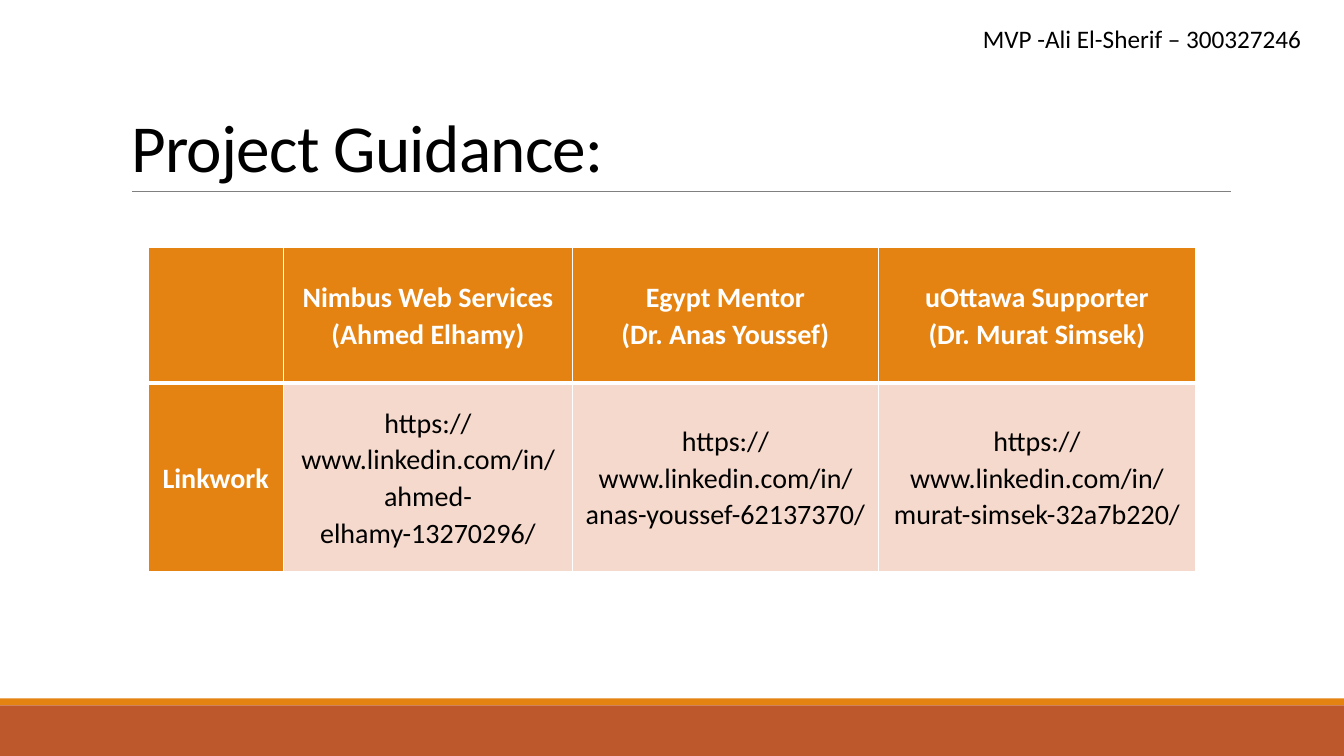
from lxml import etree
from pptx import Presentation, util as u
from pptx.dml.color import RGBColor
from pptx.enum import shapes, text
from pptx.oxml import ns

ORANGE = RGBColor(0xE4, 0x83, 0x12)
RUST = RGBColor(0xBD, 0x58, 0x2C)
BLUSH = RGBColor(0xF5, 0xD9, 0xCC)
GREY = RGBColor(0x80, 0x80, 0x80)
WHITE = RGBColor(0xFF, 0xFF, 0xFF)
BLACK = RGBColor(0, 0, 0)
FONT = "Calibri"

SLIDE_W, SLIDE_H = 13.33, 7.5
COLUMN_WIDTHS = [1.34, 2.87, 3.03, 3.15]
ROW_HEIGHTS = [1.35, 1.87]
GUIDES = [
    ["", "Nimbus Web Services\n(Ahmed Elhamy)", "Egypt Mentor\n(Dr. Anas Youssef)",
     "uOttawa Supporter\n(Dr. Murat Simsek)"],
    ["Linkwork", "https://www.linkedin.com/in/ahmed-elhamy-13270296/",
     "https://www.linkedin.com/in/anas-youssef-62137370/",
     "https://www.linkedin.com/in/murat-simsek-32a7b220/"],
]


def inches(*lengths):
    return [u.Inches(length) for length in lengths]


def format_runs(paragraph, size, color, bold=False):
    for run in paragraph.runs:
        run.font.name = FONT
        run.font.size = u.Pt(size)
        run.font.bold = bold
        run.font.color.rgb = color


def add_footer(slide, left, top, width, height):
    """Thin orange stripe above a rust band."""
    stripe = height * 0.12
    bands = [(top, stripe, ORANGE), (top + stripe, height - stripe, RUST)]
    for band_top, band_height, color in bands:
        band = slide.shapes.add_shape(shapes.MSO_SHAPE.RECTANGLE,
                                      *inches(left, band_top, width, band_height))
        band.shadow.inherit = False
        band.fill.solid()
        band.fill.fore_color.rgb = color
        band.line.fill.background()


def add_heading(slide, left, top, width, height):
    """Title resting on a thin rule."""
    title = slide.shapes.title
    title.left, title.top, title.width, title.height = inches(left, top, width, height)
    frame = title.text_frame
    frame.text = "Project Guidance:"
    frame.vertical_anchor = text.MSO_ANCHOR.BOTTOM
    frame.auto_size = text.MSO_AUTO_SIZE.NONE
    heading = frame.paragraphs[0]
    heading.alignment = text.PP_ALIGN.LEFT
    heading.line_spacing = 0.85
    format_runs(heading, 48, BLACK)
    heading.runs[0].font._element.set("spc", "-50")

    bottom = top + height
    rule = slide.shapes.add_connector(
        shapes.MSO_CONNECTOR.STRAIGHT,
        *inches(left + 0.11, bottom, left + width + 0.01, bottom))
    rule.line.color.rgb = GREY
    rule.line.width = u.Pt(0.5)
    etree.SubElement(rule._element.spPr, ns.qn("a:effectLst"))


def set_borders(cell, **widths):
    """White cell borders; widths in points by side letter."""
    properties = cell._tc.get_or_add_tcPr()
    for side, width in widths.items():
        line = etree.SubElement(properties, ns.qn(f"a:ln{side}"), w=str(u.Pt(width)))
        fill = etree.SubElement(line, ns.qn("a:solidFill"))
        etree.SubElement(fill, ns.qn("a:srgbClr"), val=str(WHITE))


def add_guides_table(slide, left, top):
    """Guides across, with a header row and a header column."""
    table = slide.shapes.add_table(
        len(ROW_HEIGHTS), len(COLUMN_WIDTHS),
        *inches(left, top, sum(COLUMN_WIDTHS), sum(ROW_HEIGHTS))).table
    for column, width in zip(table.columns, COLUMN_WIDTHS):
        column.width = u.Inches(width)
    for row, height in zip(table.rows, ROW_HEIGHTS):
        row.height = u.Inches(height)

    for r, labels in enumerate(GUIDES):
        for c, label in enumerate(labels):
            cell = table.cell(r, c)
            is_header = r == 0 or c == 0
            set_borders(cell, L=1, R=1, T=1 if r == 0 else 3, B=3 if r == 0 else 1)
            cell.fill.solid()
            cell.fill.fore_color.rgb = ORANGE if is_header else BLUSH
            cell.vertical_anchor = text.MSO_ANCHOR.MIDDLE
            cell.margin_left = cell.margin_right = u.Inches(0.07)
            cell.margin_top = cell.margin_bottom = 0
            cell.text_frame.text = label
            for paragraph in cell.text_frame.paragraphs:
                paragraph.alignment = text.PP_ALIGN.CENTER
                paragraph.line_spacing = 1.07
                format_runs(paragraph, 20, WHITE if is_header else BLACK, is_header)


def add_author(slide, left, top, width, height):
    """Author line in the top right corner."""
    frame = slide.shapes.add_textbox(*inches(left, top, width, height)).text_frame
    frame.word_wrap = True
    frame.auto_size = text.MSO_AUTO_SIZE.SHAPE_TO_FIT_TEXT
    frame.text = "MVP -Ali El-Sherif – 300327246"
    format_runs(frame.paragraphs[0], 18, BLACK)


def main():
    deck = Presentation()
    deck.slide_width, deck.slide_height = inches(SLIDE_W, SLIDE_H)
    slide = deck.slides.add_slide(deck.slide_layouts[5])
    add_footer(slide, 0, 6.93, SLIDE_W, SLIDE_H - 6.93)
    add_heading(slide, 1.2, 0.31, 11, 1.59)
    add_guides_table(slide, 1.47, 2.45)
    add_author(slide, 9.65, 0.18, 3.42, 0.4)
    deck.save("out.pptx")


if __name__ == "__main__":
    main()
